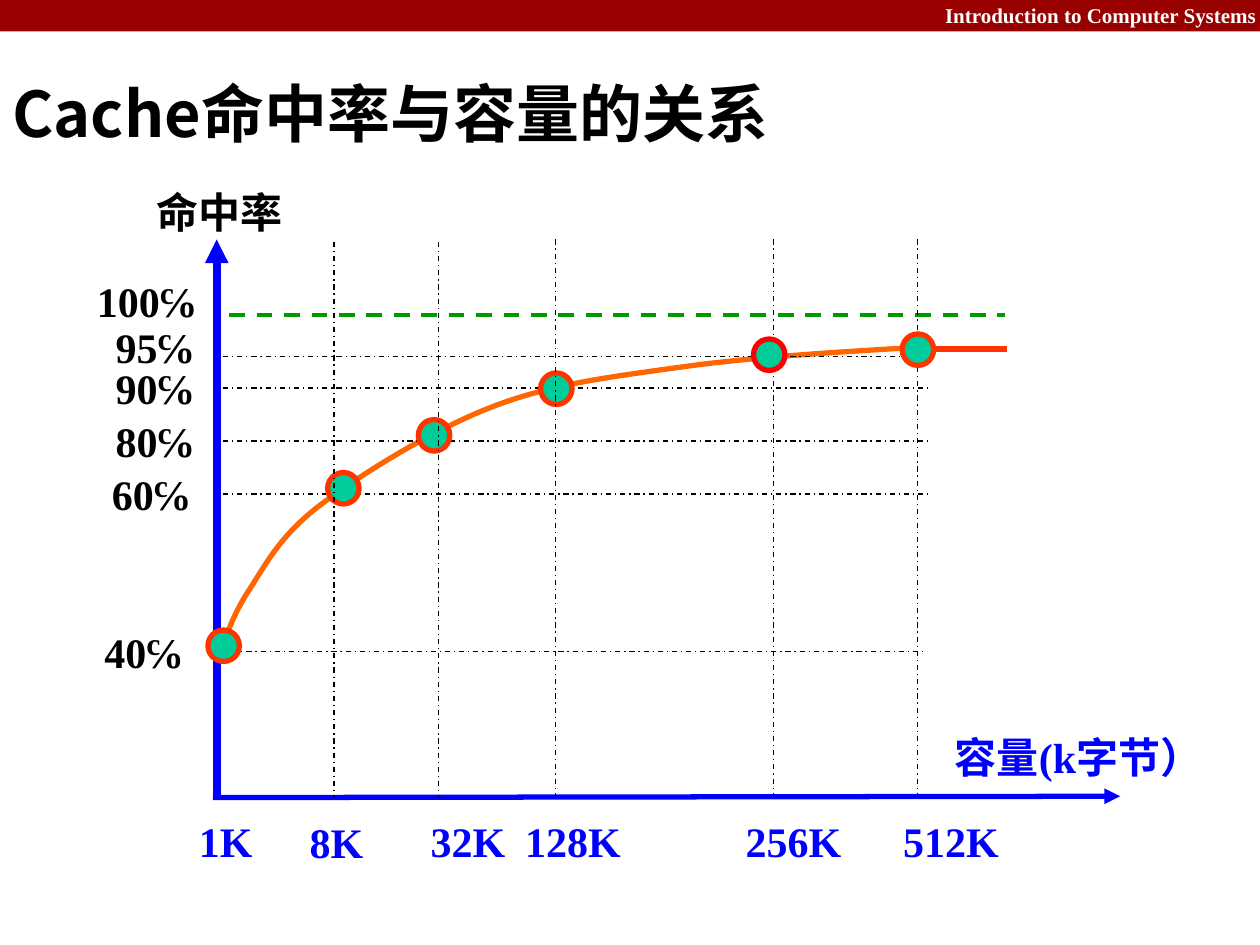
from typing import NamedTuple

from lxml.etree import SubElement
from pptx import Presentation
from pptx.dml.color import RGBColor
from pptx.enum.dml import MSO_LINE
from pptx.enum.shapes import MSO_CONNECTOR, MSO_SHAPE
from pptx.enum.text import MSO_ANCHOR, PP_ALIGN
from pptx.oxml.ns import qn
from pptx.util import Inches, Pt

BLACK = RGBColor(0x00, 0x00, 0x00)
WHITE = RGBColor(0xFF, 0xFF, 0xFF)
DARK_RED = RGBColor(0x99, 0x00, 0x00)
BLUE = RGBColor(0x00, 0x00, 0xFF)
GREEN = RGBColor(0x00, 0x99, 0x00)
TEAL = RGBColor(0x00, 0xCC, 0x99)
ORANGE = RGBColor(0xFF, 0x66, 0x00)
ORANGE_RED = RGBColor(0xFF, 0x33, 0x00)
RED = RGBColor(0xFF, 0x00, 0x00)

SERIF = "Times New Roman"
SANS = "Noto Sans CJK SC"
MARKER_SIZE = 0.25
LABEL_HEIGHT = 0.5
CURVE_STEPS = 16


class Point(NamedTuple):
    x: float
    y: float


class Label(NamedTuple):
    text: str
    left: float
    top: float
    width: float
    color: RGBColor = BLACK
    wrap: bool = True


class Guide(NamedTuple):
    start: Point
    end: Point


class Marker(NamedTuple):
    left: float
    top: float
    color: RGBColor = ORANGE_RED


LABELS = [
    Label("容量(k字节）", 7.48, 5.76, 2.52, BLUE),
    Label("命中率", 1.14, 1.43, 1.38),
    Label("100℅", 0.67, 2.14, 1.17),
    Label("95℅", 0.82, 2.5, 0.82, wrap=False),
    Label("90℅", 0.82, 2.83, 0.82, wrap=False),
    Label("80℅", 0.82, 3.25, 0.82, wrap=False),
    Label("60℅", 0.79, 3.67, 0.82, wrap=False),
    Label("40℅", 0.73, 4.92, 1.17),
    Label("1K", 1.48, 6.42, 0.67, BLUE),
    Label("8K", 2.36, 6.43, 0.67, BLUE),
    Label("32K", 3.32, 6.42, 1, BLUE),
    Label("128K", 4.07, 6.42, 1, BLUE),
    Label("256K", 5.82, 6.42, 1, BLUE),
    Label("512K", 7.07, 6.42, 1, BLUE),
]

RATE_GUIDES = [Guide(Point(1.77, y), Point(7.36, y)) for y in (2.83, 3.08, 3.5, 3.92)]
RATE_GUIDES.append(Guide(Point(1.73, 5.17), Point(7.32, 5.17)))
SIZE_GUIDES = [Guide(Point(x, 1.92), Point(x, 6.33)) for x in (2.65, 3.48)]
SIZE_GUIDES += [Guide(Point(x, 1.9), Point(x, 6.32)) for x in (4.41, 6.14, 7.28)]

LOWER_MARKERS = [Marker(1.65, 5), Marker(2.6, 3.75), Marker(3.32, 3.33), Marker(4.29, 2.96)]
UPPER_MARKERS = [Marker(7.16, 2.65), Marker(5.98, 2.69, RED)]

CURVE_START = Point(1.73, 5.26)
CURVE_SEGMENTS = [
    (Point(1.78, 5.09), Point(1.83, 4.92), Point(1.96, 4.71)),
    (Point(2.1, 4.5), Point(2.21, 4.26), Point(2.54, 4.01)),
    (Point(2.87, 3.76), Point(3.45, 3.4), Point(3.93, 3.22)),
    (Point(4.41, 3.04), Point(4.86, 2.99), Point(5.43, 2.91)),
    (Point(6.01, 2.83), Point(6.71, 2.79), Point(7.4, 2.75)),
]


def add_text(slide, label: Label, height: float = LABEL_HEIGHT, size: float = 24,
             font_name: str = SERIF, align: PP_ALIGN = PP_ALIGN.LEFT,
             anchor: MSO_ANCHOR = MSO_ANCHOR.TOP) -> None:
    box = slide.shapes.add_textbox(Inches(label.left), Inches(label.top),
                                   Inches(label.width), Inches(height))
    frame = box.text_frame
    frame.text = label.text
    frame.word_wrap = label.wrap
    frame.vertical_anchor = anchor
    paragraph = frame.paragraphs[0]
    paragraph.alignment = align
    for run in paragraph.runs:
        run.font.name = font_name
        run.font.size = Pt(size)
        run.font.bold = True
        run.font.color.rgb = label.color
        SubElement(run.font._element, qn("a:ea"), typeface=SANS)


def add_line(slide, start: Point, end: Point, color: RGBColor, width: float,
             dash: MSO_LINE | None = None, arrow: bool = False) -> None:
    connector = slide.shapes.add_connector(
        MSO_CONNECTOR.STRAIGHT, Inches(start.x), Inches(start.y), Inches(end.x), Inches(end.y))
    connector.line.color.rgb = color
    connector.line.width = Pt(width)
    if dash is not None:
        connector.line.dash_style = dash
    if arrow:
        SubElement(connector.line._get_or_add_ln(), qn("a:tailEnd"), type="triangle")
    SubElement(connector._element.spPr, qn("a:effectLst"))


def add_guides(slide, guides: list[Guide]) -> None:
    for guide in guides:
        add_line(slide, guide.start, guide.end, BLACK, 0.75, MSO_LINE.DASH_DOT)


def add_markers(slide, markers: list[Marker]) -> None:
    for marker in markers:
        circle = slide.shapes.add_shape(MSO_SHAPE.OVAL, Inches(marker.left), Inches(marker.top),
                                        Inches(MARKER_SIZE), Inches(MARKER_SIZE))
        circle.shadow.inherit = False
        circle.fill.solid()
        circle.fill.fore_color.rgb = TEAL
        circle.line.color.rgb = marker.color
        circle.line.width = Pt(3)


def bezier(points: tuple[Point, ...], t: float) -> Point:
    weights = ((1 - t) ** 3, 3 * t * (1 - t) ** 2, 3 * t ** 2 * (1 - t), t ** 3)
    return Point(sum(w * p.x for w, p in zip(weights, points)),
                 sum(w * p.y for w, p in zip(weights, points)))


def add_hit_rate_curve(slide) -> None:
    builder = slide.shapes.build_freeform(Inches(CURVE_START.x), Inches(CURVE_START.y))
    start = CURVE_START
    vertices = []
    for segment in CURVE_SEGMENTS:
        for step in range(1, CURVE_STEPS + 1):
            point = bezier((start, *segment), step / CURVE_STEPS)
            vertices.append((Inches(point.x), Inches(point.y)))
        start = segment[-1]
    builder.add_line_segments(vertices, close=False)
    curve = builder.convert_to_shape()
    curve.shadow.inherit = False
    curve.fill.background()
    curve.line.color.rgb = ORANGE
    curve.line.width = Pt(3)


def add_header(slide) -> None:
    banner = slide.shapes.add_shape(MSO_SHAPE.RECTANGLE, 0, 0, Inches(10), Inches(0.25))
    banner.shadow.inherit = False
    banner.fill.solid()
    banner.fill.fore_color.rgb = DARK_RED
    banner.line.fill.background()
    add_text(slide, Label("Introduction to Computer Systems", 6, -0.03, 4.07, WHITE),
             height=0.3, size=12, align=PP_ALIGN.RIGHT)
    add_text(slide, Label("Cache命中率与容量的关系", 0, 0.58, 7.73),
             height=0.63, size=36, font_name=SANS, anchor=MSO_ANCHOR.MIDDLE)


def main() -> None:
    presentation = Presentation()
    presentation.slide_width = Inches(10)
    presentation.slide_height = Inches(7.5)
    slide = presentation.slides.add_slide(presentation.slide_layouts[6])

    add_header(slide)
    add_line(slide, Point(1.82, 2.5), Point(7.98, 2.5), GREEN, 2.25, MSO_LINE.DASH)
    add_hit_rate_curve(slide)
    add_line(slide, Point(1.69, 6.33), Point(8.89, 6.32), BLUE, 3, arrow=True)
    add_line(slide, Point(1.72, 6.32), Point(1.72, 1.9), BLUE, 4.5, arrow=True)
    add_guides(slide, RATE_GUIDES)
    add_markers(slide, LOWER_MARKERS)
    add_guides(slide, SIZE_GUIDES)
    add_line(slide, Point(7.32, 2.77), Point(7.99, 2.77), ORANGE_RED, 3)
    add_markers(slide, UPPER_MARKERS)
    for label in LABELS:
        add_text(slide, label)

    presentation.save("out.pptx")


if __name__ == "__main__":
    main()
